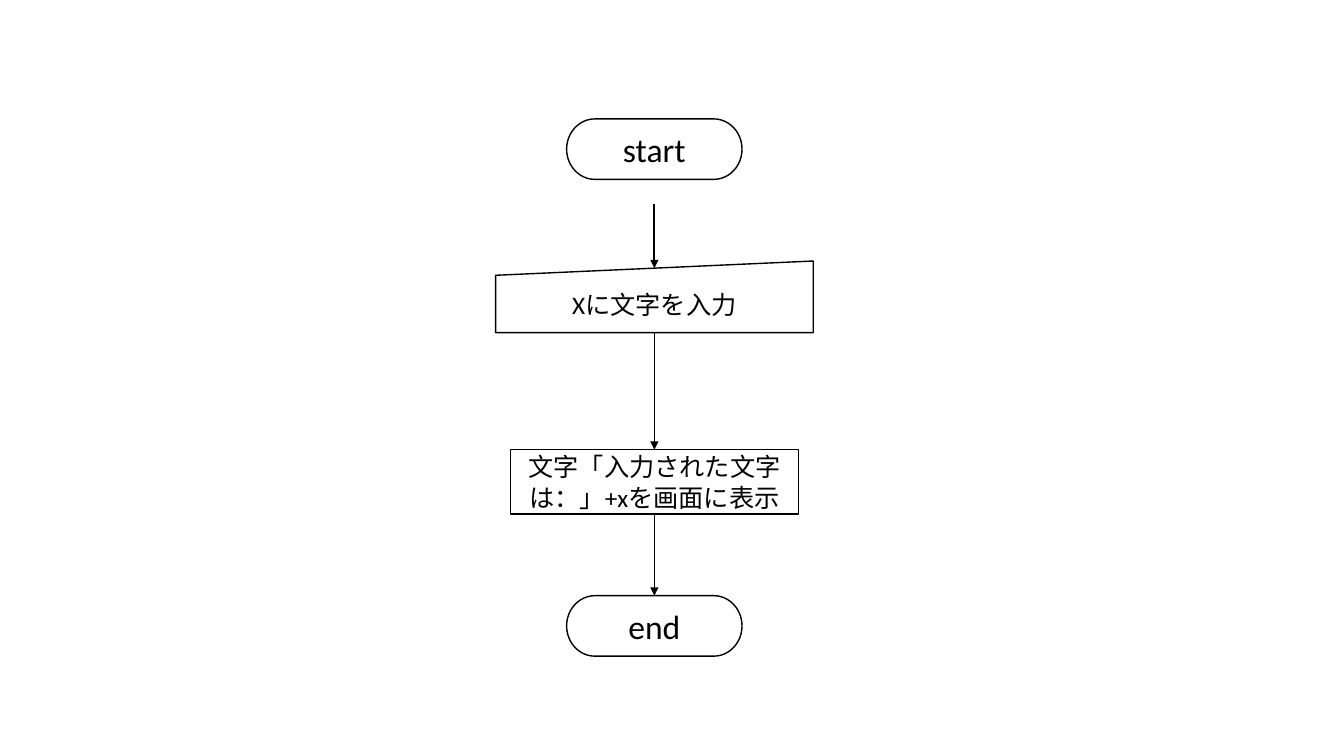
from pptx import Presentation
from pptx.dml.color import RGBColor
from pptx.enum.shapes import MSO_CONNECTOR, MSO_SHAPE
from pptx.enum.text import MSO_ANCHOR, PP_ALIGN
from pptx.oxml.ns import qn
from pptx.util import Inches, Pt
from lxml.etree import SubElement

HUES = {"ink": "000000", "paper": "FFFFFF"}
WIDE, HIGH = Inches(13.33), Inches(7.5)
AXIS = 48.69  # centre line of the flow, in percent of the width


def col(share):
    """Turn a percentage of the slide's width into a length."""
    return round(WIDE * share / 100)


def row(share):
    """Turn a percentage of the slide's height into a length."""
    return round(HIGH * share / 100)


def hue(name):
    """Look up a colour by name."""
    return RGBColor.from_string(HUES[name])


def add_step(slide, kind, text, size, top, wide, high):
    """Draw one flow step, centred on the axis."""
    step = slide.shapes.add_shape(
        kind, col(AXIS - wide / 2), row(top), col(wide), row(high))
    step.shadow.inherit = False
    step.fill.solid()
    step.fill.fore_color.rgb = hue("paper")
    step.line.color.rgb = hue("ink")
    step.line.width = Pt(1)
    frame = step.text_frame
    frame.text = text
    frame.word_wrap = True
    frame.vertical_anchor = MSO_ANCHOR.MIDDLE
    para = frame.paragraphs[0]
    para.alignment = PP_ALIGN.CENTER
    for run in para.runs:
        run.font.name = "Calibri"
        run.font.size = Pt(size)
        run.font.color.rgb = hue("ink")


def add_arrow(slide, top, end, weight):
    """Draw an arrow down the axis."""
    arrow = slide.shapes.add_connector(
        MSO_CONNECTOR.STRAIGHT, col(AXIS), row(top), col(AXIS), row(end))
    arrow.line.color.rgb = hue("ink")
    arrow.line.width = Pt(weight)
    SubElement(arrow.line._get_or_add_ln(), qn("a:tailEnd"), type="triangle")
    SubElement(arrow._element.spPr, qn("a:effectLst"))


def main():
    """Build the flow chart and save it."""
    deck = Presentation()
    deck.slide_width, deck.slide_height = WIDE, HIGH
    slide = deck.slides.add_slide(deck.slide_layouts[6])

    pill = MSO_SHAPE.FLOWCHART_TERMINATOR
    steps = [
        (pill, "start", 24, 15.73, 13.05, 8),
        (MSO_SHAPE.FLOWCHART_MANUAL_INPUT, "Xに文字を入力",
         18, 34.53, 23.63, 9.47),
        (MSO_SHAPE.RECTANGLE, "文字「入力された文字は：」+xを画面に表示",
         18, 59.47, 21.45, 8.53),
        (pill, "end", 24, 78.8, 13.05, 8),
    ]
    for step in steps:
        add_step(slide, *step)

    add_arrow(slide, 26.93, 35.47, 1.5)
    for step, after in zip(steps[1:], steps[2:]):
        add_arrow(slide, step[3] + step[5], after[3], 1)

    deck.save("out.pptx")


main()
